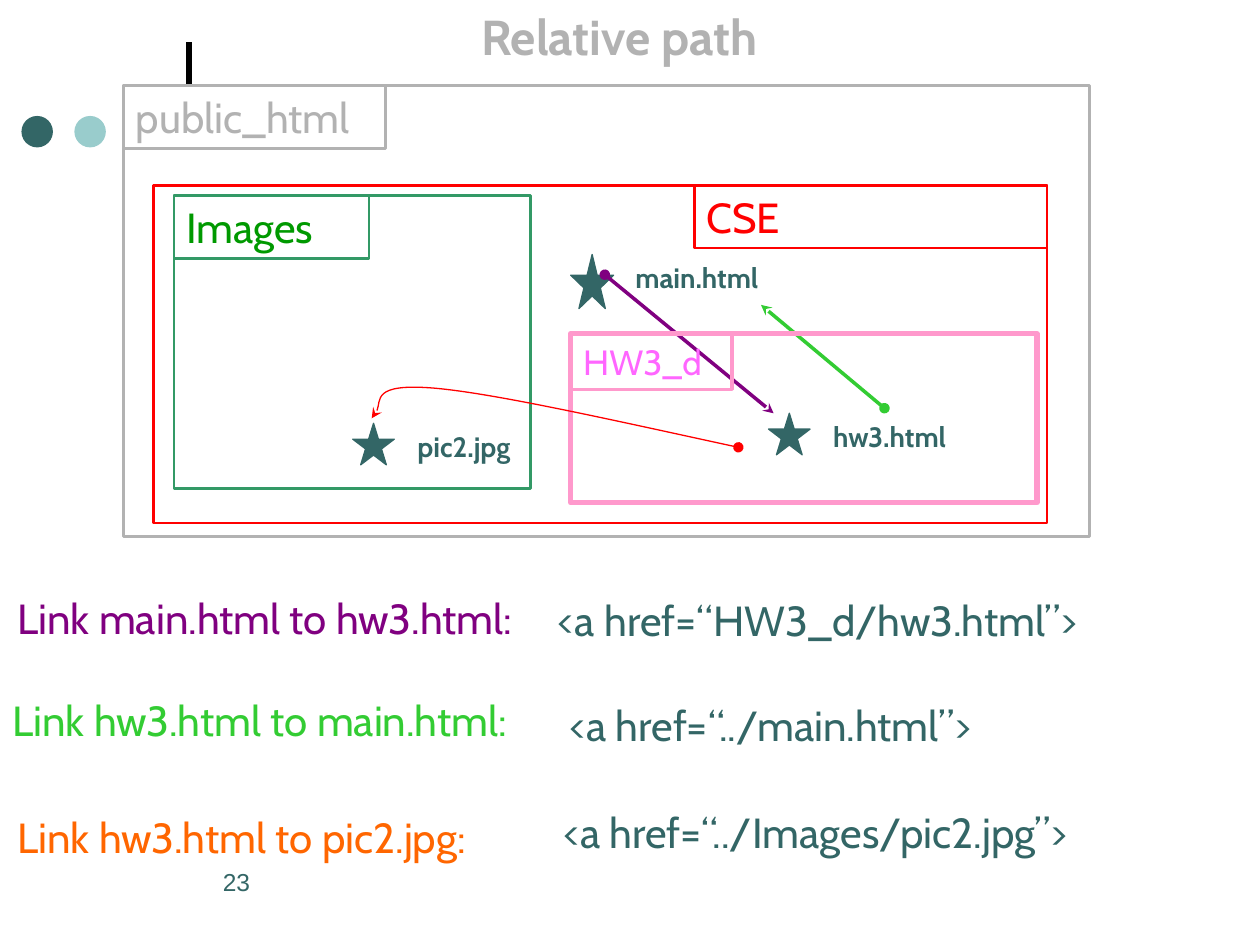
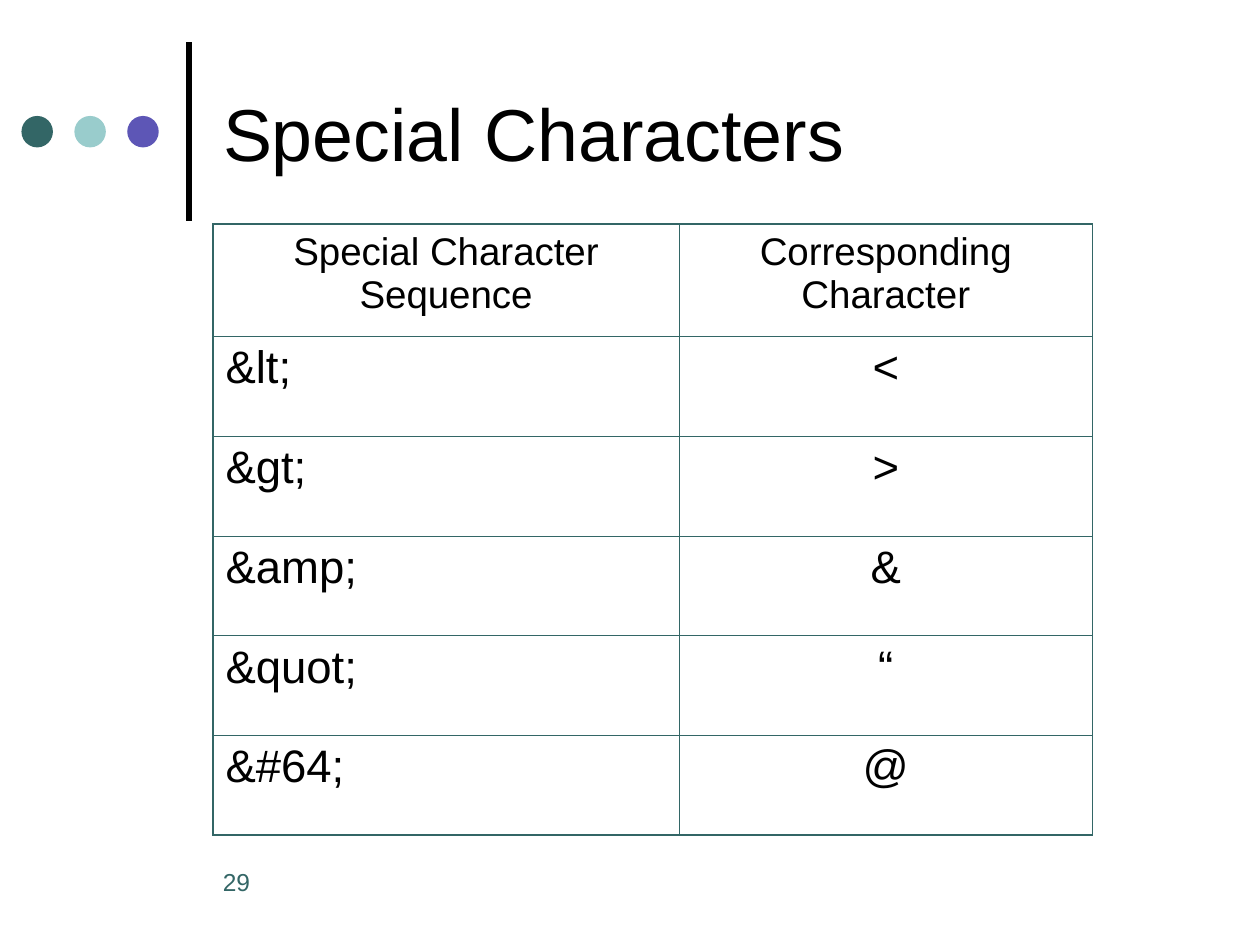
from dataclasses import dataclass

from lxml.etree import SubElement
from pptx import Presentation
from pptx.dml.color import RGBColor
from pptx.enum.shapes import MSO_CONNECTOR, MSO_SHAPE
from pptx.enum.text import MSO_ANCHOR, MSO_AUTO_SIZE, PP_ALIGN
from pptx.oxml.ns import qn
from pptx.util import Inches, Pt

# Colours
BLACK = RGBColor(0x00, 0x00, 0x00)
WHITE = RGBColor(0xFF, 0xFF, 0xFF)
TEAL = RGBColor(0x33, 0x66, 0x66)
AQUA = RGBColor(0x99, 0xCC, 0xCC)
VIOLET = RGBColor(0x5D, 0x56, 0xB6)
GREY = RGBColor(0xB2, 0xB2, 0xB2)
RED = RGBColor(0xFF, 0x00, 0x00)
SEA_GREEN = RGBColor(0x33, 0x99, 0x66)
LEAF_GREEN = RGBColor(0x00, 0x99, 0x00)
LIME = RGBColor(0x33, 0xCC, 0x33)
PURPLE = RGBColor(0x80, 0x00, 0x80)
PINK = RGBColor(0xFF, 0x99, 0xCC)
MAGENTA = RGBColor(0xFF, 0x66, 0xFF)
ORANGE = RGBColor(0xFF, 0x66, 0x00)

# The slide is a grid of 100 columns by 75 rows
COLUMNS, ROWS = 100, 75
TITLE_ONLY = 5

# Text formats
CODE = {"name": "Cabin", "size": Pt(24), "bold": False}
SMALL_TAB = {"name": "Cabin", "size": Pt(20), "bold": False}
FILE_NAME = {"name": "Cabin", "size": Pt(16), "bold": True}
DIAGRAM_TITLE = {"name": "Cabin", "size": Pt(28), "bold": True}
PAGE_TITLE = {"name": "Arial", "size": Pt(42), "bold": False}
PAGE_NUMBER = {"name": "Arial", "size": Pt(14), "bold": False}
HEADER_CELL = {"name": "Arial", "size": Pt(22), "bold": False}
BODY_CELL = {"name": "Arial", "size": Pt(26), "bold": False}


def cells(count):
    return Inches(count / 10)


@dataclass
class Box:
    left: float
    top: float
    width: float
    height: float

    def inside(self, left, top, width, height):
        return Box(self.left + left, self.top + top, width, height)

    def point(self, column, row):
        return cells(self.left + column), cells(self.top + row)

    def place(self):
        return [cells(n) for n in (self.left, self.top, self.width, self.height)]


SLIDE = Box(0, 0, COLUMNS, ROWS)


def write(frame, text, text_format, colour, align=PP_ALIGN.LEFT):
    para = frame.paragraphs[0]
    para.alignment = align
    span = para.add_run()
    span.text = text
    for name, value in text_format.items():
        setattr(span.font, name, value)
    span.font.color.rgb = colour


def add_text(page, box, text, text_format, colour):
    frame = page.shapes.add_textbox(*box.place()).text_frame
    frame.word_wrap = True
    write(frame, text, text_format, colour)


def add_figure(page, kind, box, fill=None, line=None, weight=0.75):
    figure = page.shapes.add_shape(kind, *box.place())
    figure.shadow.inherit = False
    if fill is None:
        figure.fill.background()
    else:
        figure.fill.solid()
        figure.fill.fore_color.rgb = fill
    if line is None:
        figure.line.fill.background()
    else:
        figure.line.color.rgb = line
        figure.line.width = Pt(weight)
    return figure


def set_title(page, box, text, text_format, colour, align, anchor):
    title = page.shapes.title
    title.left, title.top, title.width, title.height = box.place()
    frame = title.text_frame
    frame.auto_size = MSO_AUTO_SIZE.NONE
    frame.word_wrap = True
    frame.vertical_anchor = anchor
    write(frame, text, text_format, colour, align)


def add_line(page, start, end, colour, weight):
    line = page.shapes.add_connector(MSO_CONNECTOR.STRAIGHT, *start, *end)
    line.line.color.rgb = colour
    line.line.width = Pt(weight)
    SubElement(line._element.spPr, qn("a:effectLst"))
    return line


def add_arrow_ends(shape):
    outline = shape.line._get_or_add_ln()
    SubElement(outline, qn("a:headEnd"), type="oval")
    SubElement(outline, qn("a:tailEnd"), type="stealth")


def add_curve(page, points, colour):
    """Cubic curve: a start point, then three points for each segment."""
    builder = page.shapes.build_freeform(*points[0], scale=1.0)
    builder.add_line_segments(points[1:], close=False)
    curve = builder.convert_to_shape()
    outline = curve._element.spPr.find(".//" + qn("a:path"))
    steps = outline.findall(qn("a:lnTo"))
    for first in range(0, len(steps), 3):
        segment = SubElement(outline, qn("a:cubicBezTo"))
        for step in steps[first:first + 3]:
            segment.append(step[0])
            outline.remove(step)
    curve.shadow.inherit = False
    curve.fill.background()
    curve.line.color.rgb = colour
    curve.line.width = Pt(0.75)
    return curve


def add_frame(page, number, dot_colours):
    """Parts that every slide shares: rule, dots and page number."""
    add_line(page, SLIDE.point(15, 17.5), SLIDE.point(15, 3.3), BLACK, 3)
    for index, colour in enumerate(dot_colours):
        dot = SLIDE.inside(1.7 + 4.2 * index, 9.2, 2.5, 2.5)
        add_figure(page, MSO_SHAPE.OVAL, dot, colour)
    add_text(page, SLIDE.inside(16.7, 68.3, 14.2, 5), str(number), PAGE_NUMBER, TEAL)


def add_folder(page, box, name, tab, line, colour, text_format=CODE,
               weight=1.5, tab_weight=1.5, fill=None):
    add_figure(page, MSO_SHAPE.RECTANGLE, box, fill, line, weight)
    label = add_figure(page, MSO_SHAPE.RECTANGLE, box.inside(*tab),
                       line=line, weight=tab_weight)
    label.text_frame.vertical_anchor = MSO_ANCHOR.TOP
    write(label.text_frame, name, text_format, colour)


def add_file(page, box, name):
    add_figure(page, MSO_SHAPE.STAR_5_POINT, box, TEAL, TEAL)
    add_text(page, box.inside(4.15, 0, 15, 3.7), name, FILE_NAME, TEAL)


def add_folder_tree(page, root):
    cse = root.inside(2.4, 7.9, 70.9, 26.8)
    images = cse.inside(1.6, 0.8, 28.3, 23.3)
    homework = cse.inside(33.1, 11.8, 37, 13.4)

    # Folders and files
    add_folder(page, root, "public_html", (0, 0, 20.8, 5), GREY, GREY, fill=WHITE)
    add_file(page, homework.inside(15.7, 6.3, 3.3, 3.3), "hw3.html")
    add_folder(page, cse, "CSE", (42.9, 0, 28, 5), RED, RED)
    add_file(page, cse.inside(33.1, 5.5, 3.4, 4.3), "main.html")
    add_folder(page, images, "Images", (0, 0, 15.5, 5), SEA_GREEN, LEAF_GREEN)
    add_file(page, images.inside(14.2, 18.1, 3.3, 3.3), "pic2.jpg")

    # Links between the files
    for start, end, colour in (
        ((35.8, 7.1), (49.2, 18.1), PURPLE),
        ((58, 17.7), (48.2, 9.5), LIME),
    ):
        add_arrow_ends(add_line(page, cse.point(*start), cse.point(*end), colour, 2))
    add_folder(page, homework, "HW3_d", (0, 0, 12.8, 4.4), PINK, MAGENTA,
               SMALL_TAB, weight=3, tab_weight=2)
    bend = ((46.4, 20.8), (36.7, 18.7), (27, 16.5), (22.2, 16.1),
            (17.3, 15.7), (18.1, 18.1), (17.3, 18.5))
    add_arrow_ends(add_curve(page, [cse.point(*spot) for spot in bend], RED))


def add_link_list(page, box):
    # Label place, code place, label, code, label colour
    links = (
        ((0.4, 0), (43.3, 0.2), "Link main.html to hw3.html:",
         "<a href=“HW3_d/hw3.html”>", PURPLE),
        ((0, 8.1), (44.2, 8.5), "Link hw3.html to main.html:",
         "<a href=“../main.html”>", LIME),
        ((0.4, 17.4), (43.7, 17), "Link hw3.html to pic2.jpg:",
         "<a href=“../Images/pic2.jpg”>", ORANGE),
    )
    for label_at, code_at, label, code, colour in links:
        add_text(page, box.inside(*label_at, 44.2, 5), label, CODE, colour)
        add_text(page, box.inside(*code_at, 54.2, 5), code, CODE, TEAL)


def set_borders(cell, weights):
    properties = cell._tc.get_or_add_tcPr()
    for side, weight in zip("LRTB", weights):
        edge = SubElement(properties, qn("a:ln" + side), w=str(Pt(weight)))
        fill = SubElement(edge, qn("a:solidFill"))
        SubElement(fill, qn("a:srgbClr"), val=str(TEAL))


def add_character_table(page, box):
    rows = (
        ("Special Character Sequence", "Corresponding Character"),
        ("&lt;", "<"),
        ("&gt;", ">"),
        ("&amp;", "&"),
        ("&quot;", "“"),
        ("&#64;", "@"),
    )
    table = page.shapes.add_table(len(rows), 2, *box.place()).table
    table.first_row = table.horz_banding = False
    for column, width in zip(table.columns, (37, 32.8)):
        column.width = cells(width)
    header_height = 8.9
    for index, row in enumerate(table.rows):
        body_height = (box.height - header_height) / (len(rows) - 1)
        row.height = cells(body_height if index else header_height)

    thick, thin = 1.08, 0.45
    for r, texts in enumerate(rows):
        for c, text in enumerate(texts):
            cell = table.cell(r, c)
            outer = (c == 0, c == 1, r == 0, r == len(rows) - 1)
            set_borders(cell, [thick if edge else thin for edge in outer])
            cell.fill.background()
            centred = r == 0 or c == 1
            write(cell.text_frame, text, BODY_CELL if r else HEADER_CELL, BLACK,
                  PP_ALIGN.CENTER if centred else PP_ALIGN.LEFT)


def build_path_page(deck):
    page = deck.slides.add_slide(deck.slide_layouts[TITLE_ONLY])
    add_frame(page, 23, (TEAL, AQUA))
    set_title(page, SLIDE.inside(12.5, 0, 73.3, 5.7), "Relative path",
              DIAGRAM_TITLE, GREY, PP_ALIGN.CENTER, MSO_ANCHOR.TOP)
    add_folder_tree(page, SLIDE.inside(9.8, 6.8, 76.7, 35.8))
    add_link_list(page, SLIDE.inside(0, 46.5, COLUMNS, 22))


def build_character_page(deck):
    page = deck.slides.add_slide(deck.slide_layouts[TITLE_ONLY])
    add_frame(page, 29, (TEAL, AQUA, VIOLET))
    set_title(page, SLIDE.inside(16.7, 2.1, 76.7, 16.7), "Special Characters",
              PAGE_TITLE, BLACK, PP_ALIGN.LEFT, MSO_ANCHOR.MIDDLE)
    add_character_table(page, SLIDE.inside(16.9, 17.8, 69.8, 48.5))


def main():
    deck = Presentation()
    deck.slide_width, deck.slide_height = cells(COLUMNS), cells(ROWS)
    build_path_page(deck)
    build_character_page(deck)
    deck.save("out.pptx")


if __name__ == "__main__":
    main()
